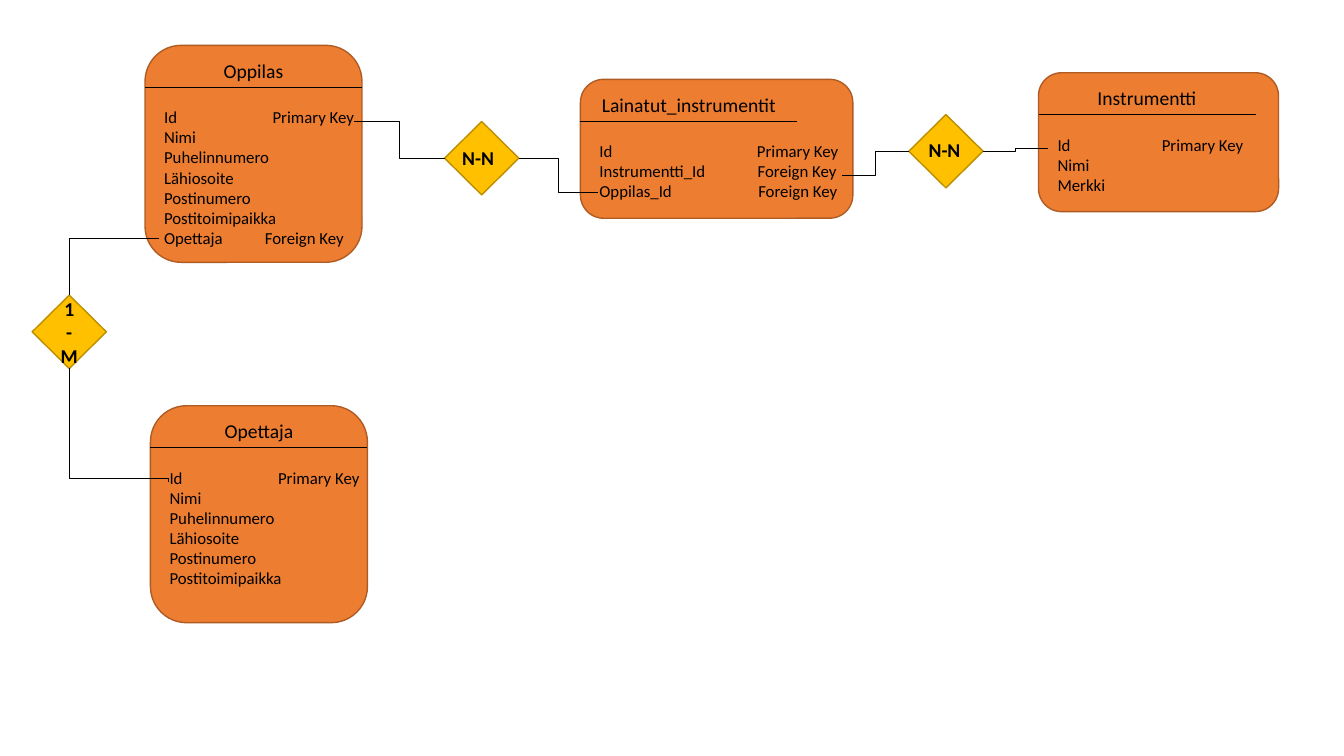
"""Entity diagram of a music school: four tables and their relations."""
from dataclasses import dataclass

from lxml.etree import SubElement
from pptx import Presentation
from pptx.dml.color import RGBColor as RGB
from pptx.enum.shapes import MSO_CONNECTOR as LINK, MSO_SHAPE as SHAPE
from pptx.enum.text import MSO_ANCHOR as ANCHOR, PP_ALIGN as ALIGN
from pptx.oxml.ns import qn
from pptx.util import Pt


@dataclass(frozen=True)
class Theme:
    card: RGB = RGB(0xED, 0x7D, 0x31)
    card_edge: RGB = RGB(0xAF, 0x5C, 0x24)
    relation: RGB = RGB(0xFF, 0xC0, 0x00)
    relation_edge: RGB = RGB(0xBD, 0x8E, 0x00)
    ink: RGB = RGB(0, 0, 0)
    font: str = "Calibri"
    heading: int = 14
    body: int = 12


theme = Theme()
deck = Presentation()
deck.slide_width, deck.slide_height = Pt(960), Pt(540)
slide = deck.slides.add_slide(deck.slide_layouts[6])


def add_text(text, *, box, size=theme.heading, bold=False, align=ALIGN.CENTER,
             anchor=ANCHOR.TOP, wrap=False, insets=(0, 0), tabs=()):
    frame = slide.shapes.add_textbox(*map(Pt, box)).text_frame
    frame.word_wrap, frame.vertical_anchor = wrap, anchor
    frame.margin_left, frame.margin_top = map(Pt, insets)
    frame.margin_right = frame.margin_bottom = 0
    frame.text = text
    for paragraph in frame.paragraphs:
        paragraph.alignment = align
        font = paragraph.font
        font.name, font.size, font.bold = theme.font, Pt(size), bold
        font.color.rgb = theme.ink
        for run in paragraph.runs:
            run.font.name, run.font.size, run.font.bold = theme.font, Pt(size), bold
            run.font.color.rgb = theme.ink
    for row, stop in tabs:
        properties = frame.paragraphs[row]._p.get_or_add_pPr()
        tab_list = properties.makeelement(qn("a:tabLst"), {})
        SubElement(tab_list, qn("a:tab"), pos=str(Pt(stop)), algn="l")
        properties.insert(0, tab_list)


def add_link(start, end, kind=LINK.ELBOW):
    link = slide.shapes.add_connector(kind, *map(Pt, (*start, *end)))
    link.line.color.rgb, link.line.width = theme.ink, Pt(0.5)
    SubElement(link._element.spPr, qn("a:effectLst"))
    return link._element.spPr


contact = "Nimi\nPuhelinnumero\nLähiosoite\nPostinumero\nPostitoimipaikka"
rule_width = 155
entities = [
    ("Oppilas", (103.6, 32.4, 155, 155),
     f"Id\tPrimary Key\n{contact}\nOpettaja\tForeign Key", [(0, 77.5), (6, 72)]),
    ("Opettaja", (107.5, 289.8, 155, 155),
     f"Id\tPrimary Key\n{contact}", [(0, 77.5)]),
    ("Lainatut_instrumentit", (414.6, 56.7, 194.6, 99.2),
     "Id\tPrimary Key\nInstrumentti_Id\tForeign Key\nOppilas_Id\tForeign Key",
     [(0, 112.5), (1, 113), (2, 113.5)]),
    ("Instrumentti", (741.8, 52, 171.5, 99.2),
     "Id\tPrimary Key\nNimi\nMerkki", [(0, 74.5)]),
]
relations = [("1\n-\nM", 23, 210.8, 0, 0),
             ("N-N", 317.6, 86.8, -2.5, -0.5),
             ("N-N", 649.2, 81.8, -1, -0.8)]
relation_size = (53, 52.4)

for title, (left, top, width, height), fields, tabs in entities:
    card = slide.shapes.add_shape(SHAPE.ROUNDED_RECTANGLE, *map(Pt, (left, top, width, height)))
    card.shadow.inherit = False
    card.fill.solid()
    card.fill.fore_color.rgb = theme.card
    card.line.color.rgb, card.line.width = theme.card_edge, Pt(1)
    add_link((left, top + 30), (left + rule_width, top + 30), LINK.STRAIGHT)
    add_text(title, box=(left, top + 6, rule_width, 24), insets=(0, 3.6))
    add_text(fields, box=(left + 6.5, top + 40.4, width - 6.5, height - 40.4),
             size=theme.body, align=ALIGN.LEFT, wrap=True, insets=(7.2, 3.6), tabs=tabs)

for _, left, top, _, _ in relations:
    diamond = slide.shapes.add_shape(SHAPE.DIAMOND, *map(Pt, (left, top, *relation_size)))
    diamond.shadow.inherit = False
    diamond.fill.solid()
    diamond.fill.fore_color.rgb = theme.relation
    diamond.line.color.rgb, diamond.line.width = theme.relation_edge, Pt(1)

for start, end in [((317.6, 113), (253, 86.7)), ((370.6, 113), (427.5, 137.4)),
                   ((649.2, 108), (601.2, 125.3)), ((702.2, 108), (748.8, 106.2))]:
    add_link(start, end)

for (x1, y1), (x2, y2), preset, bend in [
        ((49.5, 210.8), (113.8, 170.4), "bentConnector2", None),
        ((49.5, 263.2), (120.6, 344.2), "bentConnector3", 97100)]:
    mid_x, mid_y = (x1 + x2) / 2, (y1 + y2) / 2
    half_w, half_h = (x2 - x1) / 2, (y2 - y1) / 2
    outline = add_link((mid_x - half_h, mid_y + half_w), (mid_x + half_h, mid_y - half_w))
    outline.find(qn("a:xfrm")).set("rot", "5400000")
    geometry = outline.find(qn("a:prstGeom"))
    geometry.set("prst", preset)
    if bend:
        SubElement(geometry.find(qn("a:avLst")), qn("a:gd"), name="adj1", fmla=f"val {bend}")

for label, left, top, shift_x, shift_y in relations:
    add_text(label, box=(left + shift_x, top + shift_y, *relation_size),
             bold=True, anchor=ANCHOR.MIDDLE)

deck.save("out.pptx")
